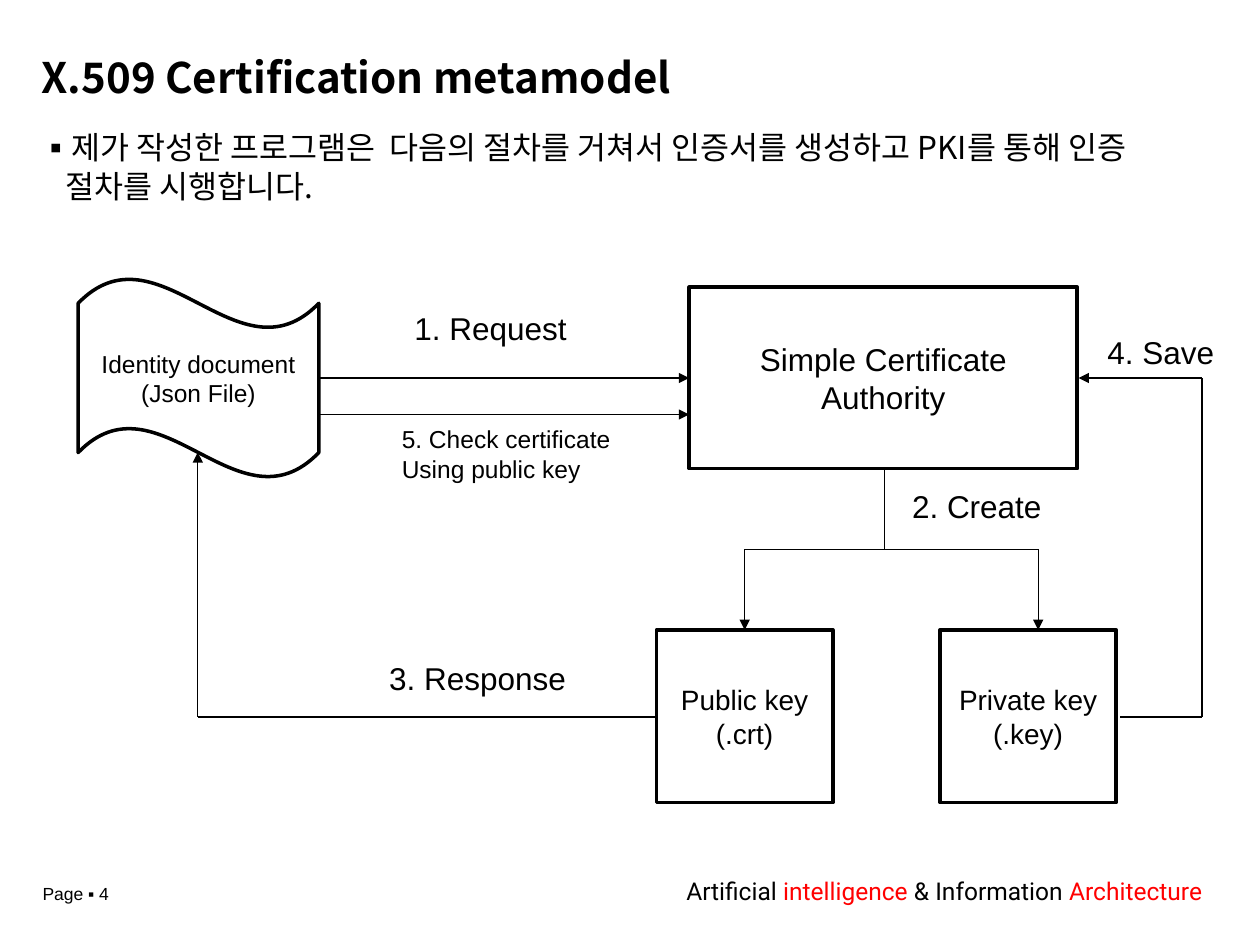
from lxml.etree import SubElement
from pptx import Presentation
from pptx.dml.color import RGBColor
from pptx.enum.shapes import MSO_CONNECTOR, MSO_SHAPE
from pptx.enum.text import MSO_ANCHOR, PP_ALIGN
from pptx.oxml.ns import qn
from pptx.util import Inches, Pt

COLOURS = {"ink": "000000", "paper": "FFFFFF", "accent": "FF0000"}
BODY_FONT, HEADING_FONT, FOOTER_FONT = "Arial", "Noto Sans CJK KR", "Roboto"

TITLE = "X.509 Certification metamodel"
SUMMARY = ("제가 작성한 프로그램은  다음의 절차를 거쳐서 인증서를 생성하고 "
           "PKI를 통해 인증 절차를 시행합니다.")
FOOTER = [("Artificial ", "ink"), ("intelligence", "accent"),
          (" & Information ", "ink"), ("Architecture", "accent")]

# preset, (left, top, width, height), lines, size
NODES = [
    (MSO_SHAPE.WAVE, (0.62, 2.21, 1.91, 1.58), ["Identity document", "(Json File)"], 14),
    (MSO_SHAPE.RECTANGLE, (5.47, 2.28, 3.08, 1.44), ["Simple Certificate Authority"], 18),
    (MSO_SHAPE.RECTANGLE, (5.21, 5, 1.4, 1.37), ["Public key", "(.crt)"], 16),
    (MSO_SHAPE.RECTANGLE, (7.46, 5, 1.4, 1.37), ["Private key", "(.key)"], 16),
]
# (left, top, width, height), lines, size, wrap
LABELS = [
    ((0.24, 6.96, 1.47, 0.27), ["Page ▪ 4"], 10, True),
    ((3.19, 2.4, 1.49, 0.4), ["1. Request "], 18, False),
    ((7.14, 3.82, 1.24, 0.4), ["2. Create"], 18, False),
    ((2.99, 5.18, 1.69, 0.4), ["3. Response "], 18, False),
    ((8.69, 2.59, 1.06, 0.4), ["4. Save"], 18, False),
    ((3.09, 3.32, 2.71, 0.57), ["5. Check certificate", "Using public key"], 14, True),
]
# corner points of each route, arrowhead at its end
ROUTES = [
    ([(2.53, 3), (5.47, 3)], True),
    ([(2.53, 3.29), (5.47, 3.29)], True),
    ([(7.02, 3.72), (7.02, 4.36)], False),
    ([(8.24, 4.36), (5.91, 4.36), (5.91, 5)], True),
    ([(8.24, 4.36), (8.24, 5)], True),
    ([(5.21, 5.69), (1.57, 5.69), (1.57, 3.59)], True),
    ([(8.89, 5.69), (9.54, 5.69), (9.54, 3), (8.56, 3)], True),
]


def colour(name):
    """Return a named colour."""
    return RGBColor.from_string(COLOURS[name])


def style(font, size, name=BODY_FONT, bold=False, ink="ink"):
    """Set size, face, weight and colour of a font."""
    font.size, font.name, font.bold = Pt(size), name, bold
    font.color.rgb = colour(ink)


def set_east_asian(run, name):
    """Set the face used for Korean text in a run."""
    SubElement(run._r.get_or_add_rPr(), qn("a:ea")).set("typeface", name)


def write_lines(frame, lines, size, align=PP_ALIGN.LEFT):
    """Write one paragraph per line."""
    frame.text = "\n".join(lines)
    for paragraph in frame.paragraphs:
        paragraph.alignment = align
        style(paragraph.font, size)


def add_text_box(slide, box, wrap=True):
    """Add an empty text box and return its text frame."""
    frame = slide.shapes.add_textbox(*map(Inches, box)).text_frame
    frame.word_wrap = wrap
    return frame


def add_node(slide, preset, box, lines, size):
    """Add an outlined shape with centred text."""
    shape = slide.shapes.add_shape(preset, *map(Inches, box))
    shape.shadow.inherit = False
    shape.fill.solid()
    shape.fill.fore_color.rgb = colour("paper")
    shape.line.color.rgb = colour("ink")
    shape.line.width = Pt(2)
    shape.text_frame.word_wrap = True
    shape.text_frame.vertical_anchor = MSO_ANCHOR.MIDDLE
    write_lines(shape.text_frame, lines, size, PP_ALIGN.CENTER)


def add_route(slide, points, arrow):
    """Join the points with straight lines, with an arrowhead on the last."""
    for start, end in zip(points, points[1:]):
        connector = slide.shapes.add_connector(
            MSO_CONNECTOR.STRAIGHT, *map(Inches, start + end))
        connector.line.color.rgb = colour("ink")
        connector.line.width = Pt(0.75)
        if arrow and end == points[-1]:
            tail = SubElement(connector.line._get_or_add_ln(), qn("a:tailEnd"))
            tail.set("type", "triangle")
        SubElement(connector._element.spPr, qn("a:effectLst"))


def add_title(slide):
    """Place and format the title placeholder."""
    title = slide.shapes.title
    title.left, title.top, title.width, title.height = map(Inches, (0.33, 0.45, 9.32, 0.71))
    frame = title.text_frame
    frame.text = TITLE
    frame.vertical_anchor = MSO_ANCHOR.TOP
    frame.margin_left = frame.margin_right = frame.margin_top = 0
    paragraph = frame.paragraphs[0]
    paragraph.alignment = PP_ALIGN.LEFT
    paragraph.line_spacing = 0.9
    style(paragraph.font, 24, HEADING_FONT, bold=True)
    set_east_asian(paragraph.runs[0], HEADING_FONT)


def add_summary(slide):
    """Add the bulleted summary under the title."""
    frame = add_text_box(slide, (0.32, 1.01, 9.32, 0.71))
    frame.margin_left = frame.margin_right = frame.margin_top = frame.margin_bottom = 0
    frame.text = SUMMARY
    paragraph = frame.paragraphs[0]
    paragraph.line_spacing = 1.03
    properties = paragraph._p.get_or_add_pPr()
    properties.set("marL", str(Inches(0.2)))
    properties.set("indent", str(Inches(-0.2)))
    SubElement(properties, qn("a:buFont")).set("typeface", HEADING_FONT)
    SubElement(properties, qn("a:buChar")).set("char", "▪")
    style(paragraph.font, 18, HEADING_FONT)
    set_east_asian(paragraph.runs[0], HEADING_FONT)


def add_footer(slide):
    """Add the two-coloured footer."""
    paragraph = add_text_box(slide, (5.34, 6.9, 4.3, 0.34)).paragraphs[0]
    paragraph.alignment = PP_ALIGN.RIGHT
    for text, ink in FOOTER:
        run = paragraph.add_run()
        run.text = text
        style(run.font, 14, FOOTER_FONT, ink=ink)


presentation = Presentation()
presentation.slide_width, presentation.slide_height = Inches(10), Inches(7.5)
slide = presentation.slides.add_slide(presentation.slide_layouts[5])
add_title(slide)
add_summary(slide)
add_footer(slide)
for node in NODES:
    add_node(slide, *node)
for route in ROUTES:
    add_route(slide, *route)
for box, lines, size, wrap in LABELS:
    write_lines(add_text_box(slide, box, wrap), lines, size)
presentation.save("out.pptx")
